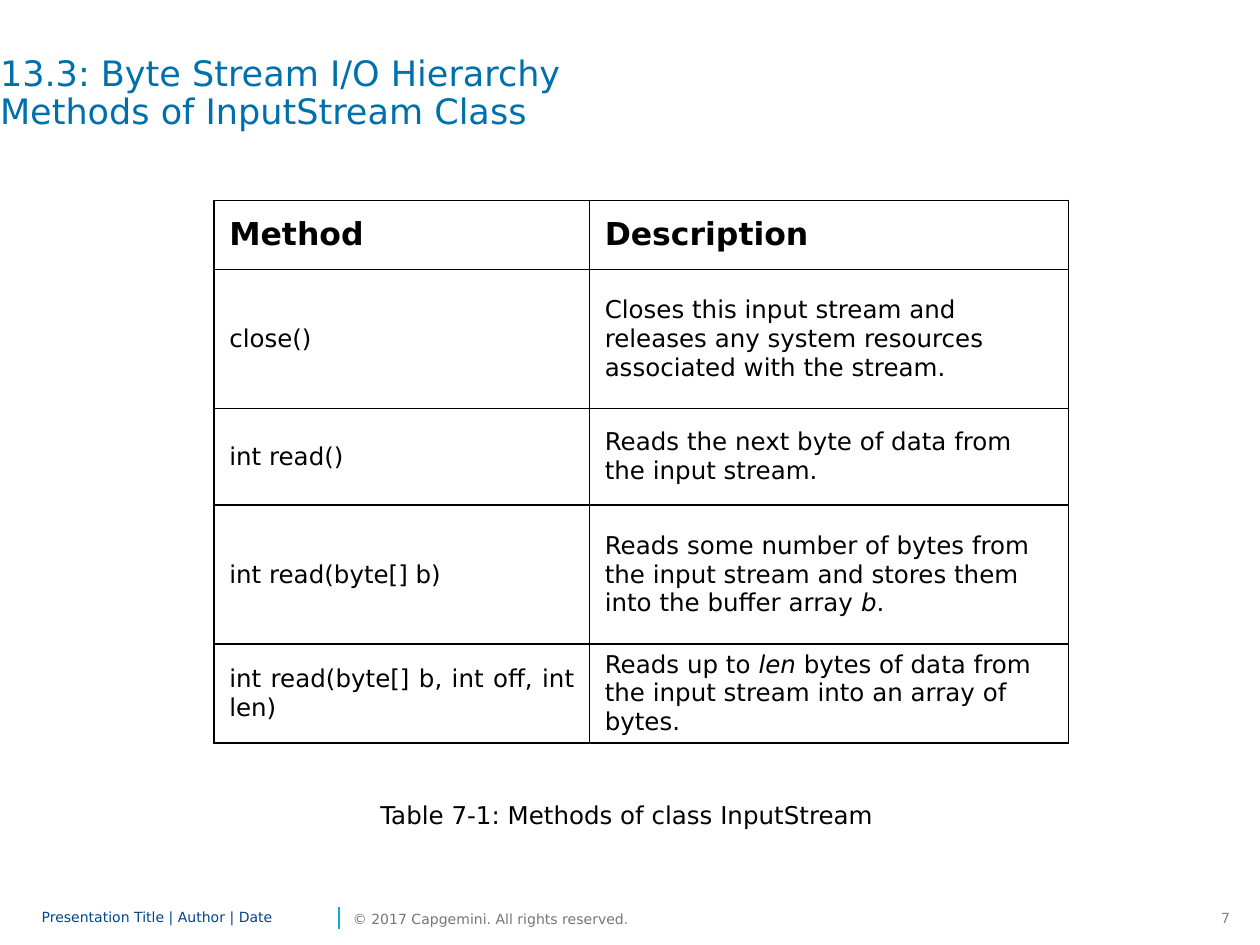
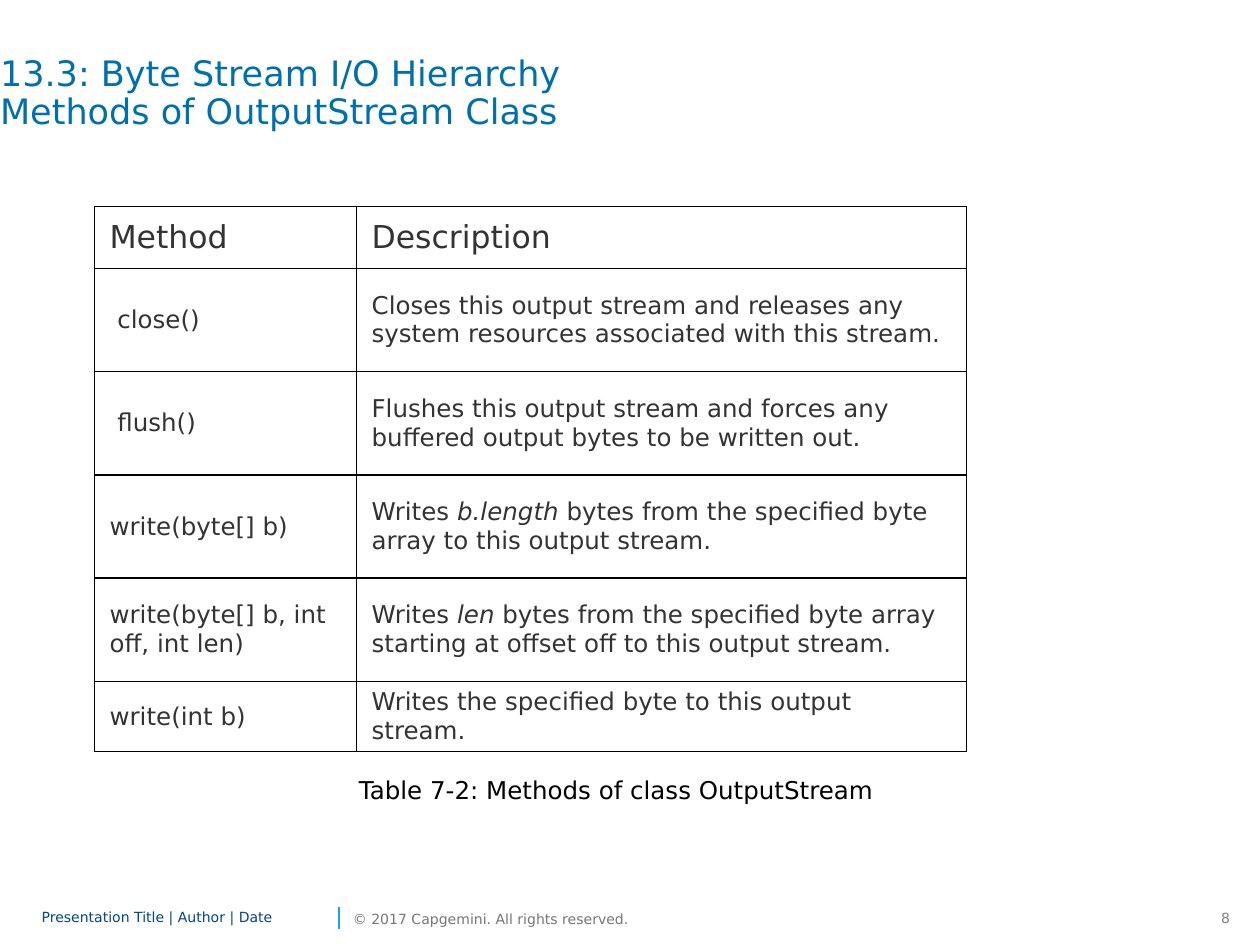
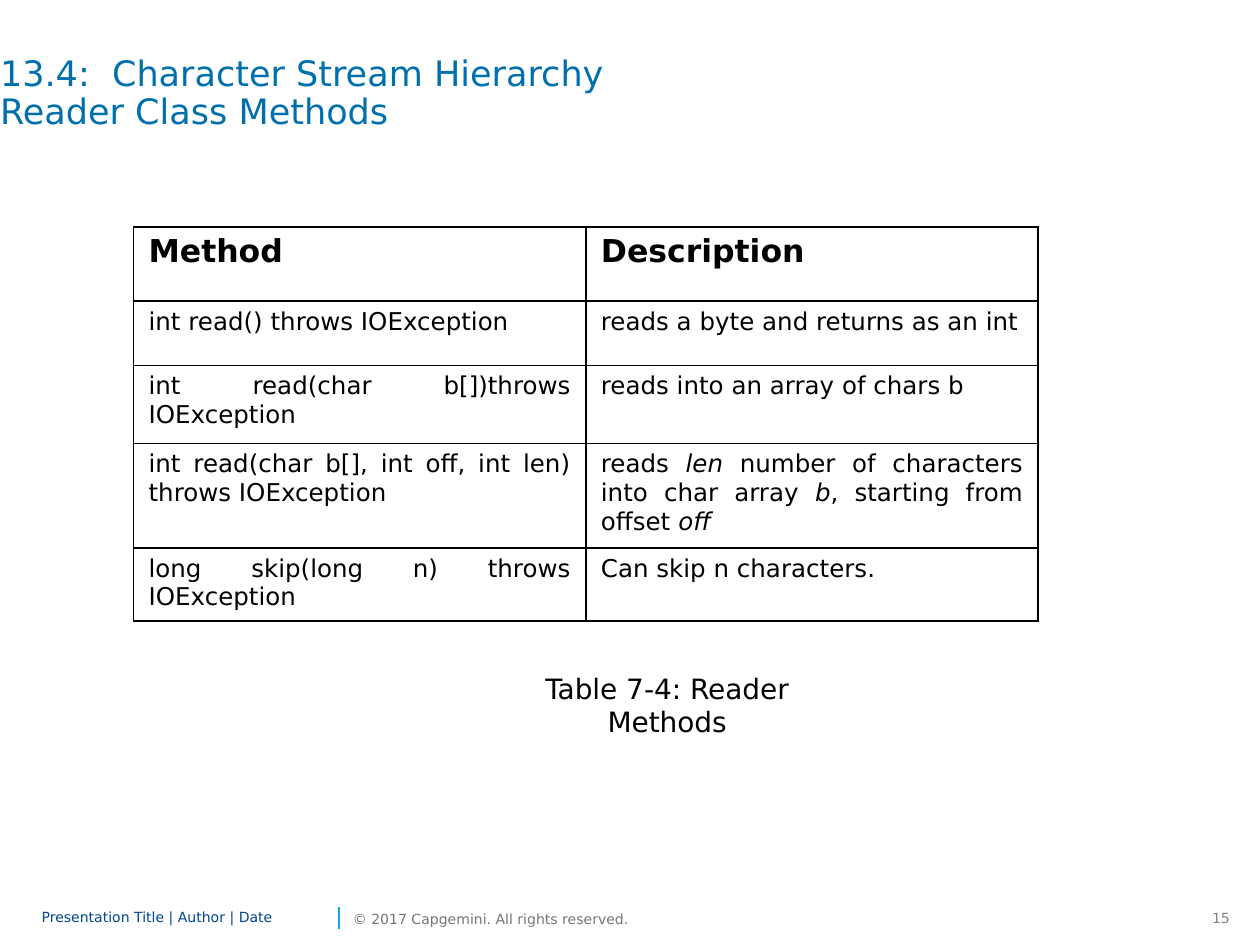
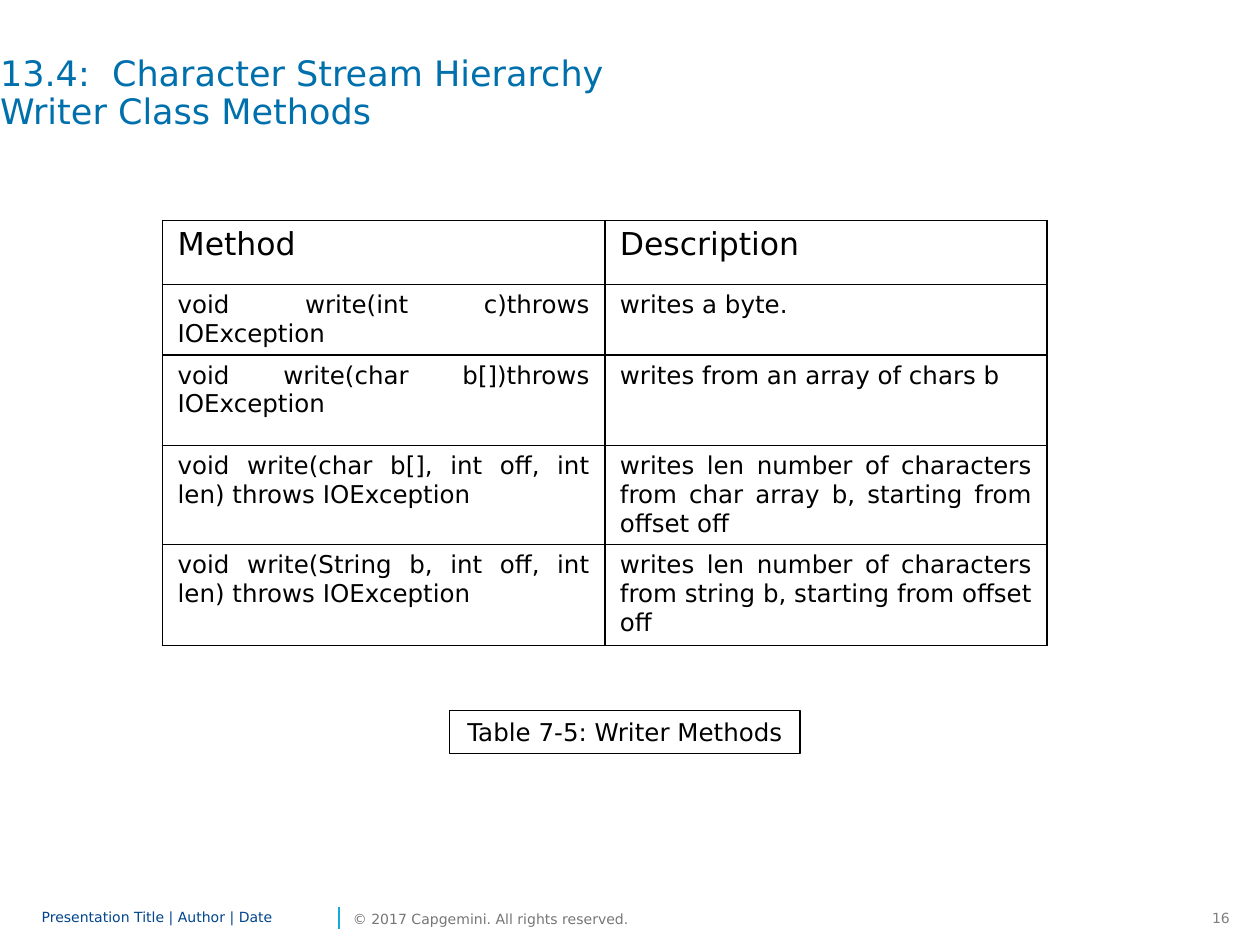
from dataclasses import dataclass

from pptx import Presentation
from pptx.dml.color import RGBColor
from pptx.enum.shapes import MSO_CONNECTOR, MSO_SHAPE
from pptx.enum.text import MSO_ANCHOR as ANCHOR, MSO_AUTO_SIZE as FIT, PP_ALIGN as AL
from pptx.oxml.ns import qn
from pptx.util import Inches, Pt
from lxml.etree import SubElement

FONT = "DejaVu Sans"
WHITE = RGBColor(0xFF, 0xFF, 0xFF)
BLACK = RGBColor(0, 0, 0)
CHARCOAL = RGBColor(0x33, 0x33, 0x33)
TITLE_BLUE = RGBColor(0x00, 0x70, 0xAD)
FOOTER_BLUE = RGBColor(0x00, 0x45, 0x8D)
FOOTER_GRAY = RGBColor(0x76, 0x76, 0x76)
PAGE_GRAY = RGBColor(0x80, 0x80, 0x80)
RULE_CYAN = RGBColor(0x12, 0xAB, 0xDB)
TITLE_ONLY = 5


@dataclass
class Style:
    size: float
    color: RGBColor = BLACK
    bold: bool = False
    align: AL = AL.LEFT
    anchor: ANCHOR = ANCHOR.TOP
    spacing: float = 1.0
    margin: float | None = None
    wrap: bool = True
    indent: float = 0


@dataclass
class Caption:
    text: str
    box: tuple[float, float, float, float]
    style: Style
    framed: bool = False


@dataclass
class MethodTable:
    at: tuple[float, float]
    cols: tuple[float, float]
    rows: tuple[float, ...]
    cells: list[tuple[str, str]]
    aligns: tuple[AL, AL] = (AL.JUSTIFY, AL.JUSTIFY)
    anchor: ANCHOR = ANCHOR.TOP
    color: RGBColor = BLACK
    bold_header: bool = False


@dataclass
class MethodSlide:
    page: int
    title: str
    table: MethodTable
    caption: Caption


TITLE = Style(20, TITLE_BLUE, spacing=0.9, margin=0)
FOOTER = Style(8, FOOTER_BLUE, anchor=ANCHOR.MIDDLE, spacing=0.85, margin=0)
COPYRIGHT = Style(8, FOOTER_GRAY, anchor=ANCHOR.MIDDLE, margin=0, wrap=False)
PAGE = Style(8, PAGE_GRAY, align=AL.RIGHT)
INDENTED = Style(14, indent=2)

HEADER = ("Method", "Description")
BYTE_TITLE = "13.3: Byte Stream I/O Hierarchy\v"
CHAR_TITLE = "13.4:  Character Stream Hierarchy\v"

SLIDES = [
    MethodSlide(
        7, BYTE_TITLE + "Methods of InputStream Class",
        MethodTable(
            (1.7, 1.59), (2.98, 3.8), (0.55, 1.1, 0.77, 1.1, 0.77),
            [HEADER,
             ("close()", "Closes this input stream and releases any system resources "
                         "associated with the stream."),
             ("int read()", "Reads the next byte of data from the input stream."),
             ("int read(byte[] b)", "Reads some number of bytes from the input stream and "
                                    "stores them into the buffer array *b*."),
             ("int read(byte[] b, int off, int len)",
              "Reads up to *len* bytes of data from the input stream into an array of bytes.")],
            aligns=(AL.JUSTIFY, AL.LEFT), anchor=ANCHOR.MIDDLE, bold_header=True),
        Caption("Table 7‑1: Methods of class InputStream", (0.92, 6.3, 7.67, 0.4), INDENTED)),
    MethodSlide(
        8, BYTE_TITLE + "Methods of OutputStream Class",
        MethodTable(
            (0.75, 1.64), (2.08, 4.84), (0.49, 0.82, 0.82, 0.82, 0.82, 0.49),
            [HEADER,
             (" close()", "Closes this output stream and releases any system resources "
                          "associated with this stream."),
             (" flush()", "Flushes this output stream and forces any buffered output bytes "
                          "to be written out."),
             ("write(byte[] b)", "Writes *b.length* bytes from the specified byte array to "
                                 "this output stream."),
             ("write(byte[] b, int off, int len)",
              "Writes *len* bytes from the specified byte array starting at offset off to "
              "this output stream."),
             ("write(int b)", "Writes the specified byte to this output stream.")],
            aligns=(AL.LEFT, AL.LEFT), anchor=ANCHOR.MIDDLE, color=CHARCOAL),
        Caption("Table 7‑2: Methods of class OutputStream", (0.75, 6.1, 7.67, 0.37), INDENTED)),
    MethodSlide(
        15, CHAR_TITLE + "Reader Class Methods",
        MethodTable(
            (1.06, 1.8), (3.59, 3.59), (0.59, 0.51, 0.62, 0.83, 0.58),
            [HEADER,
             ("int read() throws IOException", "reads a byte and returns as an int"),
             ("int read(char b[])throws IOException", "reads into an array of chars b"),
             ("int read(char b[], int off, int len) throws IOException",
              "reads *len* number of characters into char array *b*, starting from "
              "offset *off*"),
             ("long skip(long n) throws IOException", "Can skip n characters.")],
            bold_header=True),
        Caption("Table 7‑4: Reader Methods", (3.84, 5.41, 2.91, 0.37),
                Style(16, align=AL.CENTER, anchor=ANCHOR.MIDDLE))),
    MethodSlide(
        16, CHAR_TITLE + "Writer Class Methods",
        MethodTable(
            (1.29, 1.75), (3.51, 3.51), (0.51, 0.52, 0.72, 0.75, 0.8),
            [HEADER,
             ("void write(int c)throws IOException", "writes a byte."),
             ("void write(char b[])throws IOException", "writes from an array of chars b"),
             ("void write(char b[], int off, int len) throws IOException",
              "writes len number of characters from char array b, starting from offset off"),
             ("void write(String b, int off, int len) throws IOException",
              "writes len number of characters from string b, starting from offset off")]),
        Caption("Table 7‑5: Writer Methods", (3.57, 5.64, 2.78, 0.34),
                Style(14, align=AL.CENTER, anchor=ANCHOR.MIDDLE), framed=True)),
]


def format_paragraph(p, style: Style) -> None:
    p.alignment = style.align
    p.line_spacing = style.spacing
    if style.indent:
        p._p.get_or_add_pPr().set("marL", str(Inches(style.indent)))
    font = p.font
    font.name = FONT
    font.size = Pt(style.size)
    font.bold = style.bold
    font.color.rgb = style.color


def write(sp, text: str, style: Style) -> None:
    tf = sp.text_frame
    tf.text = text
    tf.auto_size = FIT.NONE
    tf.word_wrap = style.wrap
    tf.vertical_anchor = style.anchor
    if style.margin is not None:
        tf.margin_left = tf.margin_right = Inches(style.margin)
        tf.margin_top = tf.margin_bottom = Inches(style.margin)
    format_paragraph(tf.paragraphs[0], style)


def add_text(slide, text: str, box: tuple[float, ...], style: Style) -> None:
    write(slide.shapes.add_textbox(*map(Inches, box)), text, style)


def add_title(slide, text: str) -> None:
    sp = slide.shapes.title
    sp.left, sp.top, sp.width, sp.height = map(Inches, (0, 0.45, 9.33, 0.94))
    write(sp, text, TITLE)


def add_footer(slide, page: int) -> None:
    add_text(slide, str(page), (9.47, 7.17, 0.39, 0.24), PAGE)
    rule = slide.shapes.add_connector(
        MSO_CONNECTOR.STRAIGHT, *map(Inches, (2.69, 7.37, 2.69, 7.2)))
    rule.line.color.rgb = RULE_CYAN
    rule.line.width = Pt(1)
    SubElement(rule._element.spPr, qn("a:effectLst"))
    add_text(slide, "Presentation Title | Author | Date", (0.33, 7.17, 2.32, 0.24), FOOTER)
    add_text(slide, "© 2017 Capgemini. All rights reserved.", (2.8, 7.17, 1.82, 0.24), COPYRIGHT)


def add_borders(cell) -> None:
    tc_pr = cell._tc.get_or_add_tcPr()
    for side in ("lnL", "lnR", "lnT", "lnB"):
        ln = SubElement(tc_pr, qn(f"a:{side}"), w=str(Pt(1)))
        SubElement(SubElement(ln, qn("a:solidFill")), qn("a:srgbClr"), val=str(BLACK))


def fill_cell(cell, text: str, style: Style) -> None:
    add_borders(cell)
    cell.fill.solid()
    cell.fill.fore_color.rgb = WHITE
    cell.vertical_anchor = style.anchor
    cell.margin_left = cell.margin_right = Inches(0.12)
    cell.margin_top = cell.margin_bottom = Inches(0.05)
    p = cell.text_frame.paragraphs[0]
    for i, part in enumerate(text.split("*")):
        if part:
            r = p.add_run()
            r.text = part
            if i % 2:
                r.font.italic = True
    format_paragraph(p, style)


def add_method_table(slide, spec: MethodTable) -> None:
    size = sum(spec.cols), sum(spec.rows)
    table = slide.shapes.add_table(
        len(spec.rows), len(spec.cols), *map(Inches, spec.at + size)).table
    table.first_row = table.horz_banding = False
    for col, width in zip(table.columns, spec.cols):
        col.width = Inches(width)
    for i, (height, texts) in enumerate(zip(spec.rows, spec.cells)):
        table.rows[i].height = Inches(height)
        for j, (text, align) in enumerate(zip(texts, spec.aligns)):
            style = Style(14 if i else 18, spec.color, spec.bold_header and i == 0,
                          align, spec.anchor)
            fill_cell(table.cell(i, j), text, style)


def add_caption(slide, caption: Caption) -> None:
    if not caption.framed:
        add_text(slide, caption.text, caption.box, caption.style)
        return
    sp = slide.shapes.add_shape(MSO_SHAPE.RECTANGLE, *map(Inches, caption.box))
    sp.shadow.inherit = False
    sp.fill.background()
    sp.line.color.rgb = BLACK
    sp.line.width = Pt(0.75)
    write(sp, caption.text, caption.style)


def main() -> None:
    prs = Presentation()
    prs.slide_width, prs.slide_height = Inches(10), Inches(7.5)
    for item in SLIDES:
        slide = prs.slides.add_slide(prs.slide_layouts[TITLE_ONLY])
        add_footer(slide, item.page)
        add_title(slide, item.title)
        add_method_table(slide, item.table)
        add_caption(slide, item.caption)
    prs.save("out.pptx")


if __name__ == "__main__":
    main()
